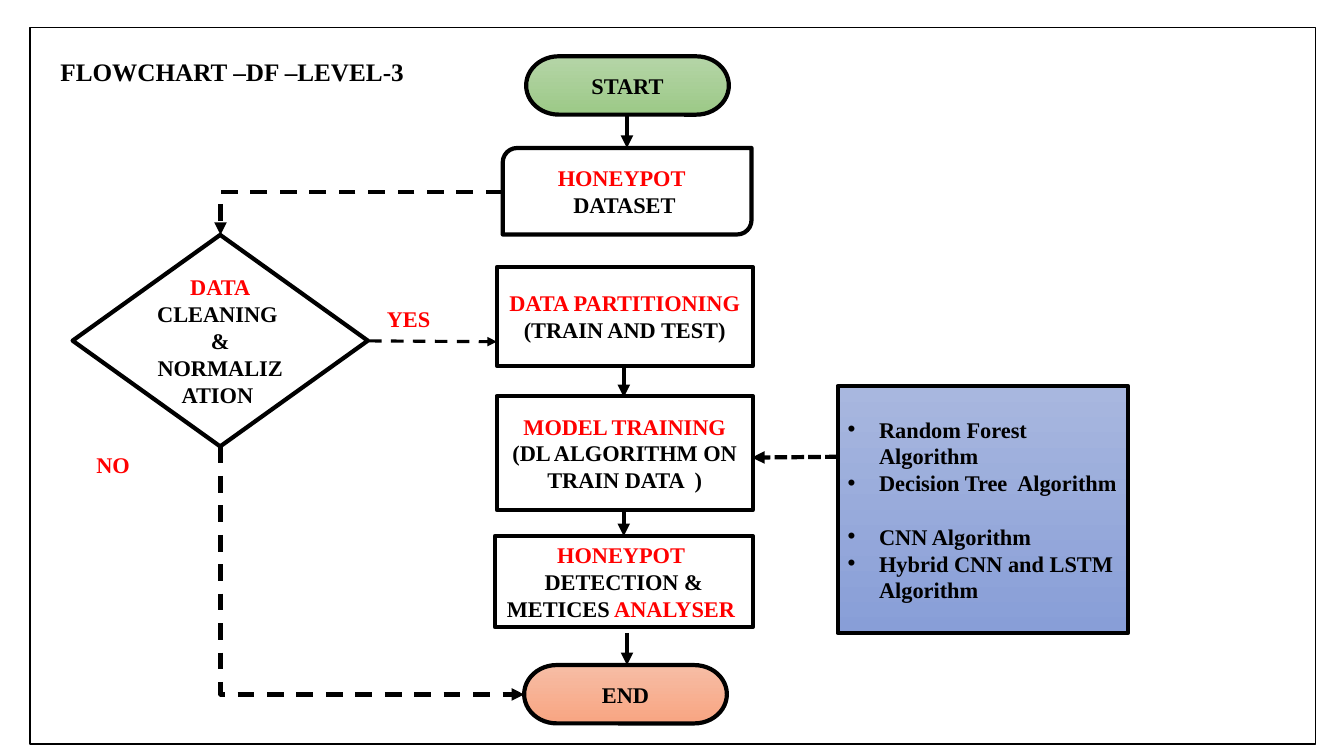
import pptx
import pptx.dml.color
import pptx.enum.dml
import pptx.enum.shapes
import pptx.enum.text
import pptx.oxml.ns
import pptx.util
from lxml import etree

Cm = pptx.util.Cm
Pt = pptx.util.Pt
RGBColor = pptx.dml.color.RGBColor
SHAPE = pptx.enum.shapes.MSO_SHAPE
LINE = pptx.enum.shapes.MSO_CONNECTOR
DASH = pptx.enum.dml.MSO_LINE
ALIGN = pptx.enum.text.PP_ALIGN
ANCHOR = pptx.enum.text.MSO_ANCHOR
AUTO_SIZE = pptx.enum.text.MSO_AUTO_SIZE
qn = pptx.oxml.ns.qn

BLACK = RGBColor(0x00, 0x00, 0x00)
WHITE = RGBColor(0xFF, 0xFF, 0xFF)
RED = RGBColor(0xFF, 0x00, 0x00)
GREENS = (RGBColor(0xB5, 0xD5, 0xA7), RGBColor(0x9C, 0xC9, 0x87))
BLUES = (RGBColor(0xA8, 0xB7, 0xDF), RGBColor(0x88, 0x9E, 0xD7))
ORANGES = (RGBColor(0xF7, 0xBD, 0xA5), RGBColor(0xF8, 0xA5, 0x82))


class Flowchart:
    font = "Times New Roman"
    size = 16
    weight = 3

    def __init__(self, s):
        self.s = s

    def place(self, sp, x, y, w, h):
        sp.left, sp.top, sp.width, sp.height = Cm(x), Cm(y), Cm(w), Cm(h)

    def paint(self, sp, fill, weight=None):
        """Outline a shape; fill is None, a colour or a (top, bottom) pair."""
        if fill is None:
            sp.fill.background()
        elif isinstance(fill, RGBColor):
            sp.fill.solid()
            sp.fill.fore_color.rgb = fill
        else:
            sp.fill.gradient()
            sp.fill.gradient_angle = 270
            for stop, color in zip(sp.fill.gradient_stops, fill):
                stop.color.rgb = color
        sp.line.color.rgb = BLACK
        sp.line.width = Pt(weight or self.weight)

    def add_text(self, sp, paragraphs, align, anchor, size=None, wrap=True):
        """Each paragraph is a list of (text, colour) runs."""
        tf = sp.text_frame
        tf.word_wrap = wrap
        tf.auto_size = AUTO_SIZE.NONE
        tf.vertical_anchor = anchor
        for i, runs in enumerate(paragraphs):
            p = tf.add_paragraph() if i else tf.paragraphs[0]
            p.alignment = align
            p.line_spacing = 1.0
            p.space_before = Pt(0)
            for text, color in runs:
                r = p.add_run()
                r.text = text
                r.font.name = self.font
                r.font.size = Pt(size or self.size)
                r.font.bold = True
                r.font.color.rgb = color

    def title(self, text, *box):
        sp = self.s.shapes.title
        self.place(sp, *box)
        self.add_text(sp, [[(text, BLACK)]], ALIGN.LEFT, ANCHOR.TOP, size=18)

    def frame(self, *box):
        sp = self.s.shapes.add_shape(SHAPE.RECTANGLE, *map(Cm, box))
        sp.shadow.inherit = False
        self.paint(sp, None, weight=1)

    def step(self, kind, paragraphs, *box, fill=WHITE):
        sp = self.s.shapes.add_shape(kind, *map(Cm, box))
        sp.shadow.inherit = False
        self.paint(sp, fill)
        self.add_text(sp, paragraphs, ALIGN.CENTER, ANCHOR.MIDDLE)

    def label(self, text, *box):
        sp = self.s.shapes.add_textbox(*map(Cm, box))
        self.add_text(sp, [[(text, RED)]], ALIGN.LEFT, ANCHOR.TOP, wrap=False)

    def bullets(self, items, gap_before, fill, *box):
        """Fill the body placeholder; gap_before is the item that opens a group."""
        sp = self.s.placeholders[1]
        self.place(sp, *box)
        self.paint(sp, fill)
        self.add_text(sp, [[(item, BLACK)] for item in items], ALIGN.LEFT, ANCHOR.MIDDLE)
        for p, item in zip(sp.text_frame.paragraphs, items):
            if item == gap_before:
                p.space_before = Pt(19)
            pPr = p._p.get_or_add_pPr()
            pPr.set("marL", str(Cm(0.79)))
            pPr.set("indent", str(-Cm(0.79)))
            etree.SubElement(pPr, qn("a:buFont")).set("typeface", "Arial")
            etree.SubElement(pPr, qn("a:buChar")).set("char", "•")

    def arrow(self, x1, y1, x2, y2, kind=LINE.STRAIGHT, dash=None, weight=None):
        c = self.s.shapes.add_connector(kind, Cm(x1), Cm(y1), Cm(x2), Cm(y2))
        c.line.color.rgb = BLACK
        c.line.width = Pt(weight or self.weight)
        if dash:
            c.line.dash_style = dash
        spPr = c._element.spPr
        etree.SubElement(spPr.find(qn("a:ln")), qn("a:tailEnd")).set("type", "triangle")
        etree.SubElement(spPr, qn("a:effectLst"))
        return c

    def corner(self, x1, y1, x2, y2, down_first=False):
        """Dashed arrow with one right-angled turn."""
        if down_first:
            cx, cy = (x1 + x2) / 2, (y1 + y2) / 2
            dx, dy = (x2 - x1) / 2, (y2 - y1) / 2
            x1, y1, x2, y2 = cx + dy, cy - dx, cx - dy, cy + dx
        c = self.arrow(x1, y1, x2, y2, LINE.ELBOW, DASH.DASH)
        spPr = c._element.spPr
        spPr.find(qn("a:prstGeom")).set("prst", "bentConnector2")
        if down_first:
            spPr.find(qn("a:xfrm")).set("rot", str(270 * 60000))


def main():
    prs = pptx.Presentation()
    prs.slide_width, prs.slide_height = Cm(33.87), Cm(19.05)
    chart = Flowchart(prs.slides.add_slide(prs.slide_layouts[1]))

    chart.frame(0.76, 0.69, 32.39, 18.06)
    chart.title("FLOWCHART –DF –LEVEL-3", 1.27, 1.3, 9.53, 1.02)

    process = SHAPE.FLOWCHART_PROCESS
    terminator = SHAPE.FLOWCHART_TERMINATOR
    chart.step(terminator, [[("START", BLACK)]], 13.26, 1.42, 5.11, 1.47, fill=GREENS)
    chart.step(SHAPE.ROUND_2_DIAG_RECTANGLE,
               [[("HONEYPOT  ", RED)], [("DATASET ", BLACK)]],
               12.67, 3.73, 6.27, 2.18)
    chart.step(SHAPE.FLOWCHART_DECISION,
               [[("DATA", RED), (" CLEANING ", BLACK)], [("& NORMALIZATION ", BLACK)]],
               1.83, 5.92, 7.44, 5.33)
    chart.step(process, [[("DATA PARTITIONING", RED)], [("(TRAIN AND TEST)", BLACK)]],
               12.52, 6.73, 6.45, 2.49)
    chart.step(process,
               [[("MODEL TRAINING", RED)], [("(DL ALGORITHM ON TRAIN DATA  )", BLACK)]],
               12.52, 9.98, 6.45, 2.87)
    chart.step(process,
               [[("HONEYPOT  ", RED), ("DETECTION &", BLACK)],
                [("METICES", BLACK), (" ANALYSER ", RED)]],
               12.47, 13.51, 6.5, 2.29)
    chart.step(terminator, [[("END", BLACK)]], 13.21, 16.76, 5.11, 1.47, fill=ORANGES)

    chart.bullets(["Random Forest  Algorithm", "Decision Tree  Algorithm",
                   "CNN Algorithm", "Hybrid CNN and LSTM Algorithm"],
                  "CNN Algorithm", BLUES, 21.11, 9.73, 7.32, 6.22)

    chart.label("YES", 9.5, 7.57, 1.75, 0.94)
    chart.label("NO", 2.18, 11.25, 1.5, 0.94)

    for x, top, bottom in [(15.8, 2.92, 3.73), (15.72, 9.19, 10.01),
                           (15.72, 12.85, 13.51), (15.8, 15.95, 16.76)]:
        chart.arrow(x, top, x, bottom)
    chart.arrow(9.3, 8.59, 12.52, 8.61, dash=DASH.DASH, weight=2.25)
    chart.arrow(21.11, 11.51, 18.95, 11.53, dash=DASH.SQUARE_DOT)
    chart.corner(12.67, 4.83, 5.56, 5.92)
    chart.corner(5.56, 11.25, 13.21, 17.5, down_first=True)

    prs.save("out.pptx")


if __name__ == "__main__":
    main()
